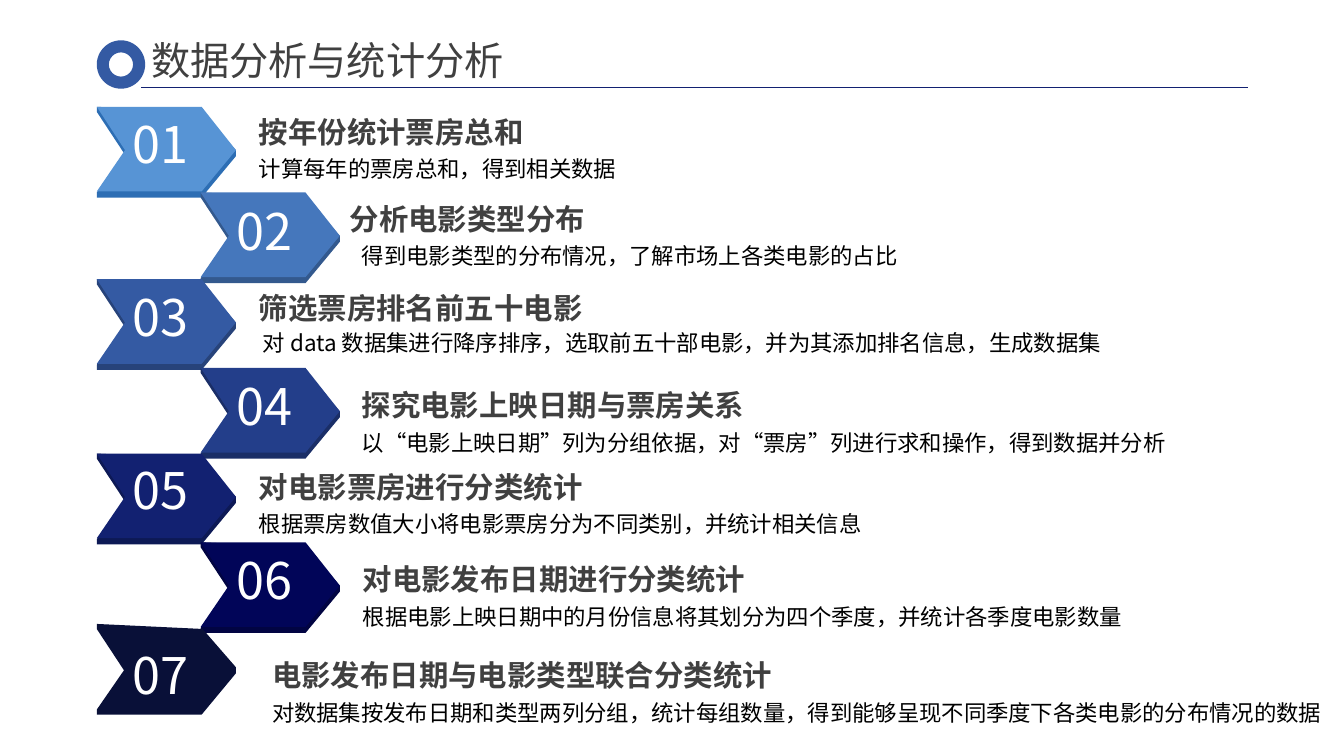
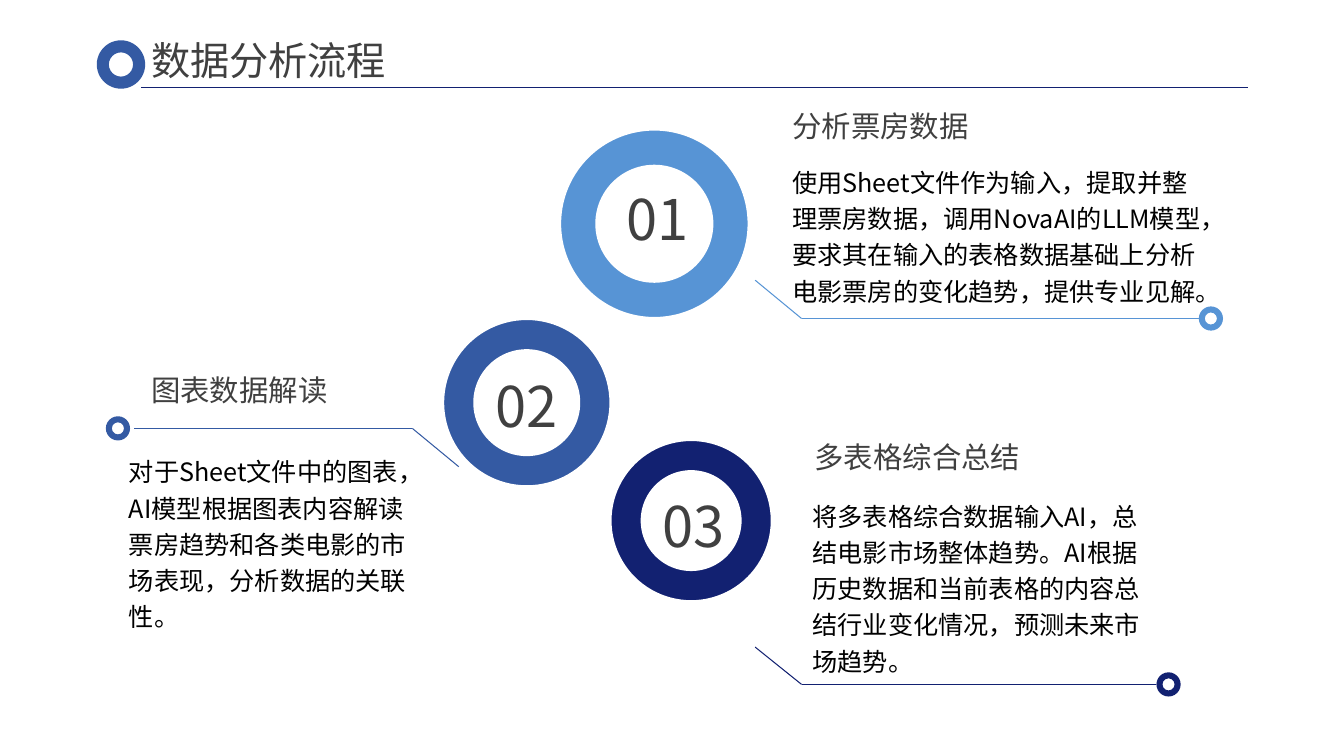
"""Build two slides on film box-office analysis: the steps and the workflow."""
from dataclasses import dataclass

import pptx
import pptx.dml.color
import pptx.enum.shapes
import pptx.enum.text
import pptx.oxml.ns
import pptx.util
from lxml import etree

Inches = pptx.util.Inches
SHAPE = pptx.enum.shapes.MSO_SHAPE
ALIGN = pptx.enum.text.PP_ALIGN
rgb = pptx.dml.color.RGBColor.from_string
qn = pptx.oxml.ns.qn


@dataclass(frozen=True)
class Theme:
    font: str = "Noto Sans CJK SC"
    white: str = "FFFFFF"
    body: str = "000000"
    heading: str = "404040"
    sky: str = "5794D5"
    blue: str = "345AA3"
    navy: str = "122171"
    title_size: int = 28
    ring_number_size: int = 40
    step_number_size: int = 36
    heading_size: int = 21
    body_size: int = 18
    detail_size: int = 16


theme = Theme()
SLIDE_WIDTH = 13.33


def write(shape, words, size, colour, bold=False, spacing=1.0, align=ALIGN.LEFT):
    frame = shape.text_frame
    frame.text = words
    frame.word_wrap = True
    frame.auto_size = pptx.enum.text.MSO_AUTO_SIZE.NONE
    frame.vertical_anchor = pptx.enum.text.MSO_ANCHOR.TOP
    paragraph = frame.paragraphs[0]
    paragraph.alignment = align
    paragraph.line_spacing = spacing
    font = paragraph.font
    font.size = pptx.util.Pt(size)
    font.bold = bold
    font.color.rgb = rgb(colour)
    font.name = theme.font
    defaults = paragraph._p.pPr.find(qn("a:defRPr"))
    etree.SubElement(defaults, qn("a:ea")).set("typeface", theme.font)


def paint(shape, fill, edge=None):
    shape.shadow.inherit = False
    shape.fill.solid()
    shape.fill.fore_color.rgb = rgb(fill)
    if edge:
        shape.line.color.rgb = rgb(edge)
        shape.line.width = pptx.util.Pt(2.25)
    else:
        shape.line.fill.background()


deck = pptx.Presentation()
deck.slide_width = Inches(SLIDE_WIDTH)
deck.slide_height = Inches(7.5)

lines = []
donuts = []
for heading in ("数据分析与统计分析", "数据分析流程"):
    slide = deck.slides.add_slide(deck.slide_layouts[5])
    title = slide.shapes.title
    title.left, title.top = Inches(1.4), Inches(0.31)
    title.width, title.height = Inches(10.98), Inches(0.57)
    write(title, heading, theme.title_size, theme.heading)
    lines.append((slide, 1.4, 0.87, 12.38, 0.87, theme.navy, 0.5))
    donuts.append((slide, 0.96, 0.4, 0.48, theme.blue))
steps_slide, flow_slide = deck.slides

callouts = [
    (7.49, 2.78, 7.95, 3.16, 11.89, 11.89, theme.sky),
    (4.55, 4.63, 4.09, 4.25, 1.33, 1.05, theme.blue),
    (7.49, 6.42, 7.95, 6.79, 11.47, 11.47, theme.navy),
]
for start_x, start_y, bend_x, bend_y, end_x, dot_x, colour in callouts:
    lines.append((flow_slide, start_x, start_y, bend_x, bend_y, colour, 0.75))
    lines.append((flow_slide, bend_x, bend_y, end_x, bend_y, colour, 0.75))
    donuts.append((flow_slide, dot_x, bend_y - 0.12, 0.24, colour))

for slide, x1, y1, x2, y2, colour, weight in lines:
    line = slide.shapes.add_connector(
        pptx.enum.shapes.MSO_CONNECTOR.STRAIGHT,
        Inches(x1), Inches(y1), Inches(x2), Inches(y2))
    line.line.color.rgb = rgb(colour)
    line.line.width = pptx.util.Pt(weight)
    etree.SubElement(line._element.spPr, qn("a:effectLst"))

for slide, x, y, size, colour in donuts:
    donut = slide.shapes.add_shape(
        SHAPE.DONUT, Inches(x), Inches(y), Inches(size), Inches(size))
    paint(donut, colour)

chevron_side = [(105, 5), (0, 0), (0, 5), (27, 46), (0, 85), (0, 90),
                (104, 90), (138, 49), (138, 43)]
chevron_front = [(104, 0), (0, 0), (28, 43), (0, 84), (104, 84), (138, 43)]

steps = [
    (1.06, 0.01, "2D6EB4", theme.sky, 2.47, 1.08, 2.47, 1.44,
     "按年份统计票房总和", "计算每年的票房总和，得到相关数据"),
    (1.91, 0.03, "33598E", "4577BC", 3.37, 1.95, 3.49, 2.3,
     "分析电影类型分布", "得到电影类型的分布情况，了解市场上各类电影的占比"),
    (2.77, 0.02, "27437A", theme.blue, 2.47, 2.83, 2.51, 3.16,
     "筛选票房排名前五十电影",
     "对 data 数据集进行降序排序，选取前五十部电影，并为其添加排名信息，生成数据集"),
    (3.65, 0.02, "1A2E67", "233E8A", 3.49, 3.79, 3.49, 4.15,
     "探究电影上映日期与票房关系",
     "以“电影上映日期”列为分组依据，对“票房”列进行求和操作，得到数据并分析"),
    (4.5, 0.01, "0D1955", theme.navy, 2.47, 4.6, 2.47, 4.96,
     "对电影票房进行分类统计",
     "根据票房数值大小将电影票房分为不同类别，并统计相关信息"),
    (5.38, 0.02, "010442", "010558", 3.5, 5.52, 3.5, 5.88,
     "对电影发布日期进行分类统计",
     "根据电影上映日期中的月份信息将其划分为四个季度，并统计各季度电影数量"),
    (6.19, 0.15, "091038", None, 2.6, 6.47, 2.6, 6.83,
     "电影发布日期与电影类型联合分类统计",
     "对数据集按发布日期和类型两列分组，统计每组数量，得到能够呈现不同季度下各类电影的分布情况的数据"),
]
shapes = steps_slide.shapes
for index, step in enumerate(steps):
    (top, number_drop, side, front, heading_x, heading_y,
     detail_x, detail_y, heading, detail) = step
    left = 0.96 + 1.03 * (index % 2)
    for outline, colour in ((chevron_side, side), (chevron_front, front)):
        if colour:
            builder = shapes.build_freeform(*outline[0], scale=Inches(0.01))
            builder.add_line_segments(outline[1:])
            paint(builder.convert_to_shape(Inches(left), Inches(top)), colour)
    number = shapes.add_textbox(Inches(left + 0.26), Inches(top + number_drop),
                                Inches(0.88), Inches(0.71))
    write(number, f"{index + 1:02}", theme.step_number_size, theme.white)
    heading_box = shapes.add_textbox(Inches(heading_x), Inches(heading_y),
                                     Inches(5.6), Inches(0.45))
    write(heading_box, heading, theme.heading_size, theme.heading, bold=True)
    detail_box = shapes.add_textbox(Inches(detail_x), Inches(detail_y),
                                    Inches(SLIDE_WIDTH - detail_x), Inches(0.39))
    write(detail_box, detail, theme.detail_size, theme.body, spacing=1.2)

stages = [
    (5.55, 1.28, 1.88, 0.37, theme.sky, 5.99, 1.78, 7.76, 1.02,
     7.76, 1.55, 4.34, 1.81, "分析票房数据",
     "使用Sheet文件作为输入，提取并整理票房数据，调用NovaAI的LLM模型，"
     "要求其在输入的表格数据基础上分析电影票房的变化趋势，提供专业见解。"),
    (4.39, 3.16, 1.67, 0.32, theme.blue, 4.69, 3.64, 1.4, 3.64,
     1.18, 4.42, 2.99, 2.18, "图表数据解读",
     "对于Sheet文件中的图表，AI模型根据图表内容解读票房趋势和各类电影的市场表现，"
     "分析数据的关联性。"),
    (6.05, 4.36, 1.61, 0.32, theme.navy, 6.35, 4.83, 7.98, 4.31,
     7.96, 4.86, 3.51, 2.18, "多表格综合总结",
     "将多表格综合数据输入AI，总结电影市场整体趋势。"
     "AI根据历史数据和当前表格的内容总结行业变化情况，预测未来市场趋势。"),
]
shapes = flow_slide.shapes
for index, stage in enumerate(stages):
    (ring_x, ring_y, ring_size, band, colour, number_x, number_y,
     heading_x, heading_y, body_x, body_y, body_width, body_height,
     heading, body) = stage
    for inset, fill in ((0, colour), (band, theme.white)):
        size = Inches(ring_size - 2 * inset)
        disc = shapes.add_shape(SHAPE.OVAL, Inches(ring_x + inset),
                                Inches(ring_y + inset), size, size)
        paint(disc, fill, edge=theme.white)
    number = shapes.add_textbox(Inches(number_x), Inches(number_y),
                                Inches(1.06), Inches(0.77))
    write(number, f"{index + 1:02}", theme.ring_number_size, theme.heading,
          align=ALIGN.CENTER)
    heading_box = shapes.add_textbox(Inches(heading_x), Inches(heading_y),
                                     Inches(2.5), Inches(0.45))
    write(heading_box, heading, theme.heading_size, theme.heading)
    body_box = shapes.add_textbox(Inches(body_x), Inches(body_y),
                                  Inches(body_width), Inches(body_height))
    write(body_box, body, theme.body_size, theme.body, spacing=1.2)

deck.save("out.pptx")
